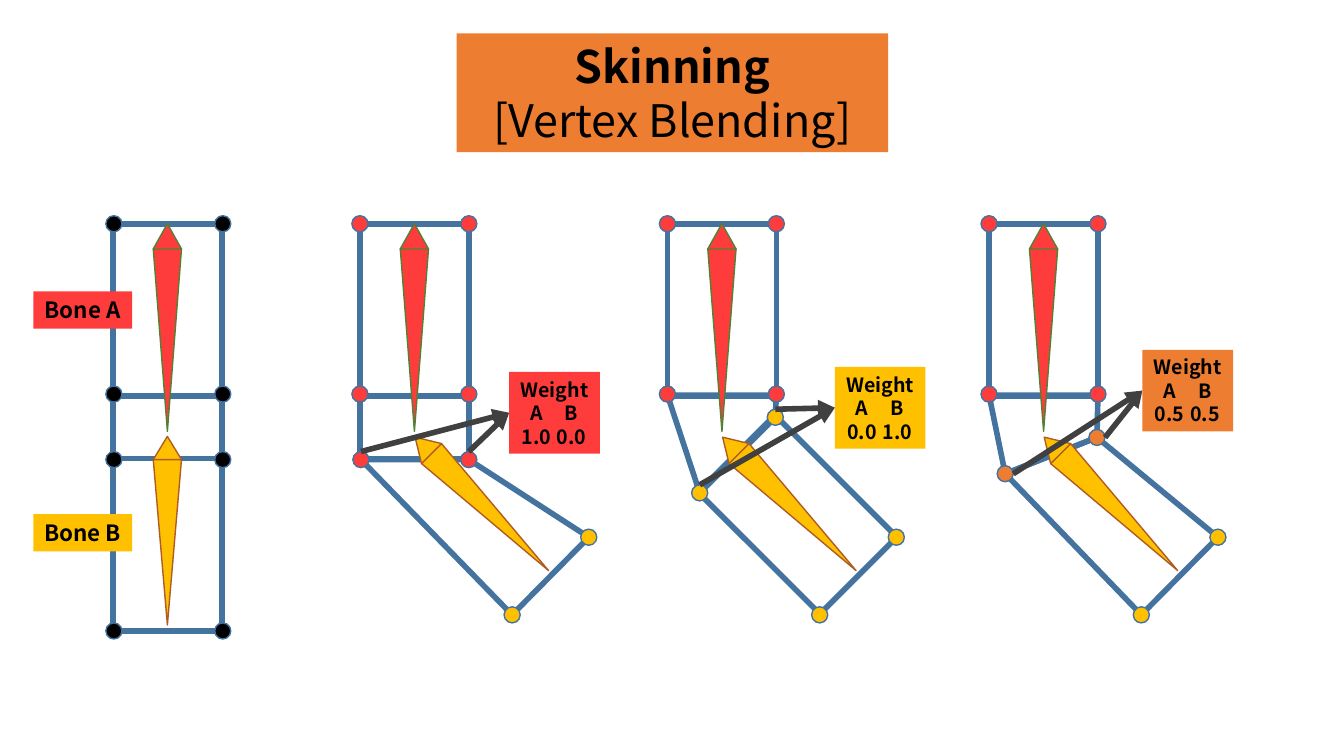
"""Build the skinning slide: one straight arm and three weighted bends."""
from dataclasses import dataclass
from itertools import product

from lxml import etree
from pptx import Presentation
from pptx.dml.color import RGBColor
from pptx.enum.shapes import MSO_CONNECTOR, MSO_SHAPE
from pptx.enum.text import MSO_ANCHOR, PP_ALIGN
from pptx.oxml.ns import qn
from pptx.util import Inches, Pt

Point = tuple[float, float]
Box = tuple[float, float, float, float]

FONT = "Noto Sans CJK KR"
RED, YELLOW, ORANGE, BLACK = "FF3C3C", "FFC000", "ED7D31", "000000"
MESH, ARROW = "43739E", "404040"
RED_EDGE, YELLOW_EDGE = "538035", "AF5C24"
ARM_W, ARM_H = 1.08, 1.71
SHOULDER, ELBOW, WRIST = 2.22, 3.93, 4.55
DOT = 0.16
LABEL_W, LABEL_H = 0.9, 0.81
WEIGHT_TABS = (0.27, 0.62)
HAND = ((1.51, 6.1), (2.27, 5.33))


@dataclass(frozen=True)
class BonePiece:
    """A preset shape within a bone, placed relative to its arm."""

    preset: MSO_SHAPE
    box: Box
    rotation: float = 0


@dataclass(frozen=True)
class Bone:
    """The head and shaft of a bone with their colours."""

    pieces: tuple[BonePiece, BonePiece]
    fill: str
    edge: str


@dataclass(frozen=True)
class Tag:
    """A one-line bone name."""

    text: str
    top: float
    fill: str


@dataclass(frozen=True)
class Pose:
    """A bent arm with its blended joints and weight label."""

    left: float
    joints: tuple[Point, Point]
    joint_fill: str
    weights: tuple[str, str]
    label: Point
    arrow_offset: Point
    elbow_is_box: bool = False
    forearm_is_box: bool = False


BONE_A = Bone((BonePiece(MSO_SHAPE.DIAMOND, (0.4, 2.22, 0.28, 0.5)),
               BonePiece(MSO_SHAPE.ISOSCELES_TRIANGLE, (0.4, 2.47, 0.28, 1.81), 180)), RED, RED_EDGE)
BONE_B = Bone((BonePiece(MSO_SHAPE.DIAMOND, (0.4, 4.33, 0.28, 0.46)),
               BonePiece(MSO_SHAPE.ISOSCELES_TRIANGLE, (0.4, 4.56, 0.28, 1.64), 180)), YELLOW, YELLOW_EDGE)
BONE_B_BENT = Bone((BonePiece(MSO_SHAPE.DIAMOND, (0.57, 4.27, 0.28, 0.46), 315),
                    BonePiece(MSO_SHAPE.ISOSCELES_TRIANGLE, (1.15, 4.26, 0.28, 1.64), 135)), YELLOW, YELLOW_EDGE)
STRAIGHT_LEFT = 1.12
TAGS = (Tag("Bone A", 2.89, RED), Tag("Bone B", 5.1, YELLOW))
POSES = (
    Pose(3.57, ((0.01, 4.56), (1.08, 4.56)), RED, ("1.0", "0.0"), (5.05, 3.69), (0, -0.08), elbow_is_box=True),
    Pose(6.62, ((0.32, 4.89), (1.07, 4.14)), YELLOW, ("0.0", "1.0"), (8.28, 3.64), (0, -0.08), forearm_is_box=True),
    Pose(9.81, ((0.16, 4.7), (1.07, 4.34)), ORANGE, ("0.5", "0.5"), (11.33, 3.47), (0.08, 0)),
)

deck = Presentation()
deck.slide_width, deck.slide_height = Inches(13.33), Inches(7.5)
slide = deck.slides.add_slide(deck.slide_layouts[6])
canvas = slide.shapes


def color(value: str) -> RGBColor:
    """Turn a hex string into a colour."""
    return RGBColor.from_string(value)


def paint(shape, fill: str | None, edge: str | None, width: float) -> None:
    """Set fill and outline, and drop the shadow."""
    shape.shadow.inherit = False
    if fill:
        shape.fill.solid()
        shape.fill.fore_color.rgb = color(fill)
    else:
        shape.fill.background()
    if edge:
        shape.line.color.rgb = color(edge)
        shape.line.width = Pt(width)
    else:
        shape.line.fill.background()


def add_preset(parent, preset: MSO_SHAPE, box: Box, fill: str | None = None,
               edge: str | None = MESH, width: float = 4, rotation: float = 0):
    """Add a painted preset shape."""
    shape = parent.add_shape(preset, *map(Inches, box))
    shape.rotation = rotation
    paint(shape, fill, edge, width)
    return shape


def add_outline(left: float, points: tuple[Point, ...]) -> None:
    """Add a closed mesh outline."""
    first, *rest = [(Inches(left + x), Inches(y)) for x, y in points]
    builder = canvas.build_freeform(*first)
    builder.add_line_segments(rest, close=True)
    paint(builder.convert_to_shape(), None, MESH, 4)


def add_segment(left: float, top: float, height: float) -> None:
    """Add an upright rectangle of the mesh."""
    add_preset(canvas, MSO_SHAPE.RECTANGLE, (left, top, ARM_W, height))


def add_dots(left: float, centers: tuple[Point, ...], fill: str) -> None:
    """Add mesh vertices."""
    for x, y in centers:
        add_preset(canvas, MSO_SHAPE.OVAL, (left + x - DOT / 2, y - DOT / 2, DOT, DOT), fill, width=1)


def add_bone(left: float, bone: Bone) -> None:
    """Add a bone as a group."""
    group = canvas.add_group_shape()
    for piece in bone.pieces:
        x, y, w, h = piece.box
        add_preset(group.shapes, piece.preset, (left + x, y, w, h), bone.fill, bone.edge, 1, piece.rotation)


def add_label(box: Box, fill: str, lines: tuple[str, ...], size: float, bold_lines: int) -> None:
    """Add a filled box of centred lines, with tabbed lines set in columns."""
    frame = add_preset(canvas, MSO_SHAPE.RECTANGLE, box, fill, None).text_frame
    frame.word_wrap = True
    frame.margin_left = frame.margin_right = 0
    frame.vertical_anchor = MSO_ANCHOR.MIDDLE
    for index, line in enumerate(lines):
        paragraph = frame.paragraphs[0] if index == 0 else frame.add_paragraph()
        paragraph.alignment = PP_ALIGN.LEFT if "\t" in line else PP_ALIGN.CENTER
        if "\t" in line:
            stops = etree.SubElement(paragraph._p.get_or_add_pPr(), qn("a:tabLst"))
            for stop in WEIGHT_TABS:
                etree.SubElement(stops, qn("a:tab"), pos=str(Inches(stop)), algn="ctr")
        run = paragraph.add_run()
        run.text = line
        run.font.name, run.font.size, run.font.bold = FONT, Pt(size), index < bold_lines
        run.font.color.rgb = color(BLACK)
        etree.SubElement(run._r.get_or_add_rPr(), qn("a:ea"), typeface=FONT)


def add_arrow(start: Point, end: Point) -> None:
    """Add an arrow from a joint to its weight label."""
    arrow = canvas.add_connector(MSO_CONNECTOR.STRAIGHT, *map(Inches, start + end))
    arrow.line.color.rgb, arrow.line.width = color(ARROW), Pt(4)
    properties = arrow._element.spPr
    etree.SubElement(properties.find(qn("a:ln")), qn("a:tailEnd"), type="triangle")
    etree.SubElement(properties, qn("a:effectLst"))


def draw_straight_arm() -> None:
    """Draw the unbent arm with its bone names."""
    for top, height in ((SHOULDER, ARM_H), (ELBOW, WRIST - ELBOW), (WRIST, ARM_H)):
        add_segment(STRAIGHT_LEFT, top, height)
    add_bone(STRAIGHT_LEFT, BONE_A)
    add_bone(STRAIGHT_LEFT, BONE_B)
    add_dots(STRAIGHT_LEFT, tuple(product((0.01, 1.09), (2.22, 3.91, 4.56, 6.26))), BLACK)
    for tag in TAGS:
        add_label((0.33, tag.top, 0.98, 0.37), tag.fill, (tag.text,), 16, 1)


def draw_pose(pose: Pose) -> None:
    """Draw a bent arm, its arrows and its weights."""
    near, far = pose.joints
    if pose.elbow_is_box:
        add_segment(pose.left, ELBOW, WRIST - ELBOW)
    else:
        add_outline(pose.left, ((0, 3.92), (ARM_W, 3.92), far, near))
    if pose.forearm_is_box:
        add_preset(canvas, MSO_SHAPE.RECTANGLE, (pose.left + 0.75, 4.25, ARM_W, ARM_H), rotation=315)
    else:
        add_outline(pose.left, (near, *HAND, far))
    add_segment(pose.left, SHOULDER, ARM_H)
    add_bone(pose.left, BONE_A)
    add_bone(pose.left, BONE_B_BENT)
    add_dots(pose.left, tuple(product((0, ARM_W), (2.22, 3.91))), RED)
    add_dots(pose.left, pose.joints, pose.joint_fill)
    add_dots(pose.left, HAND, YELLOW)
    label_left, label_top = pose.label
    dx, dy = pose.arrow_offset
    for x, y in pose.joints:
        add_arrow((pose.left + x + dx, y + dy), (label_left, label_top + LABEL_H / 2))
    rows = ("Weight", "\tA\tB", "\t" + "\t".join(pose.weights))
    add_label((label_left, label_top, LABEL_W, LABEL_H), pose.joint_fill, rows, 14, 3)


add_label((4.53, 0.33, 4.28, 1.18), ORANGE, ("Skinning", "[Vertex Blending]"), 32, 1)
draw_straight_arm()
for bend in POSES:
    draw_pose(bend)
deck.save("out.pptx")
